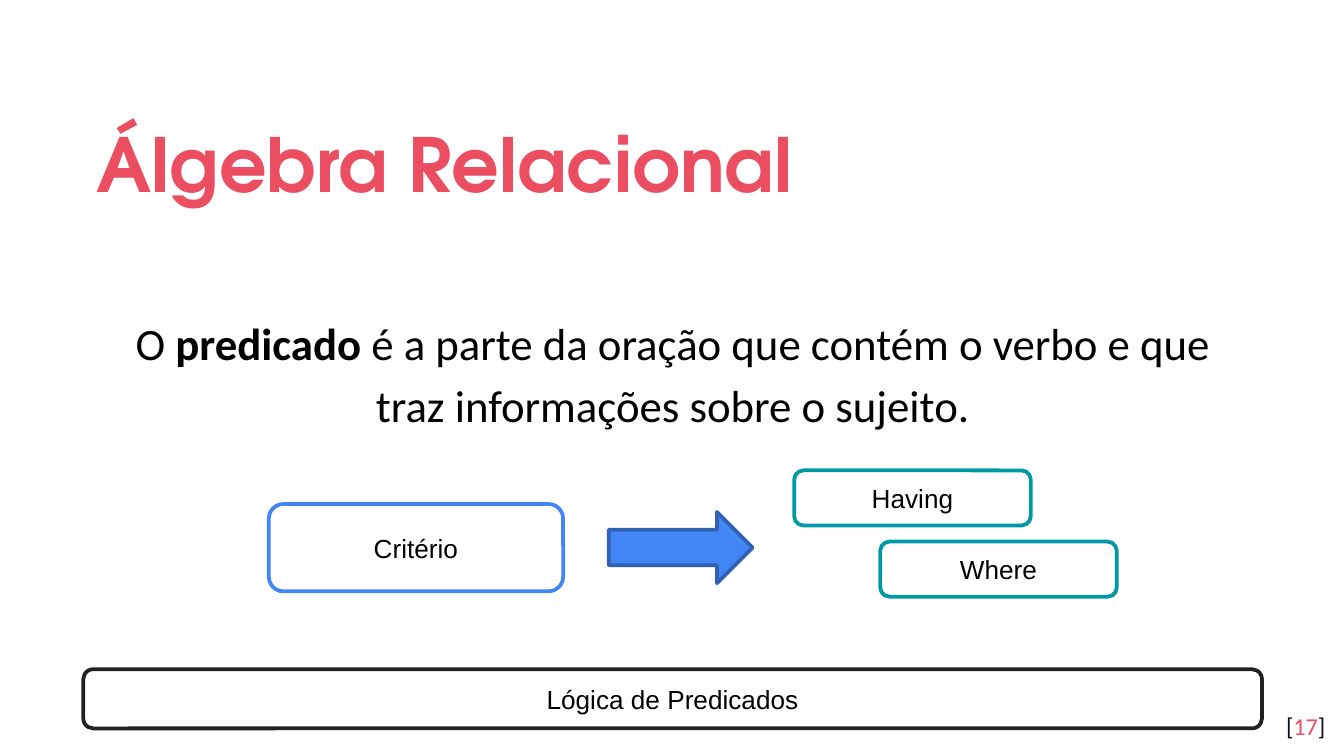
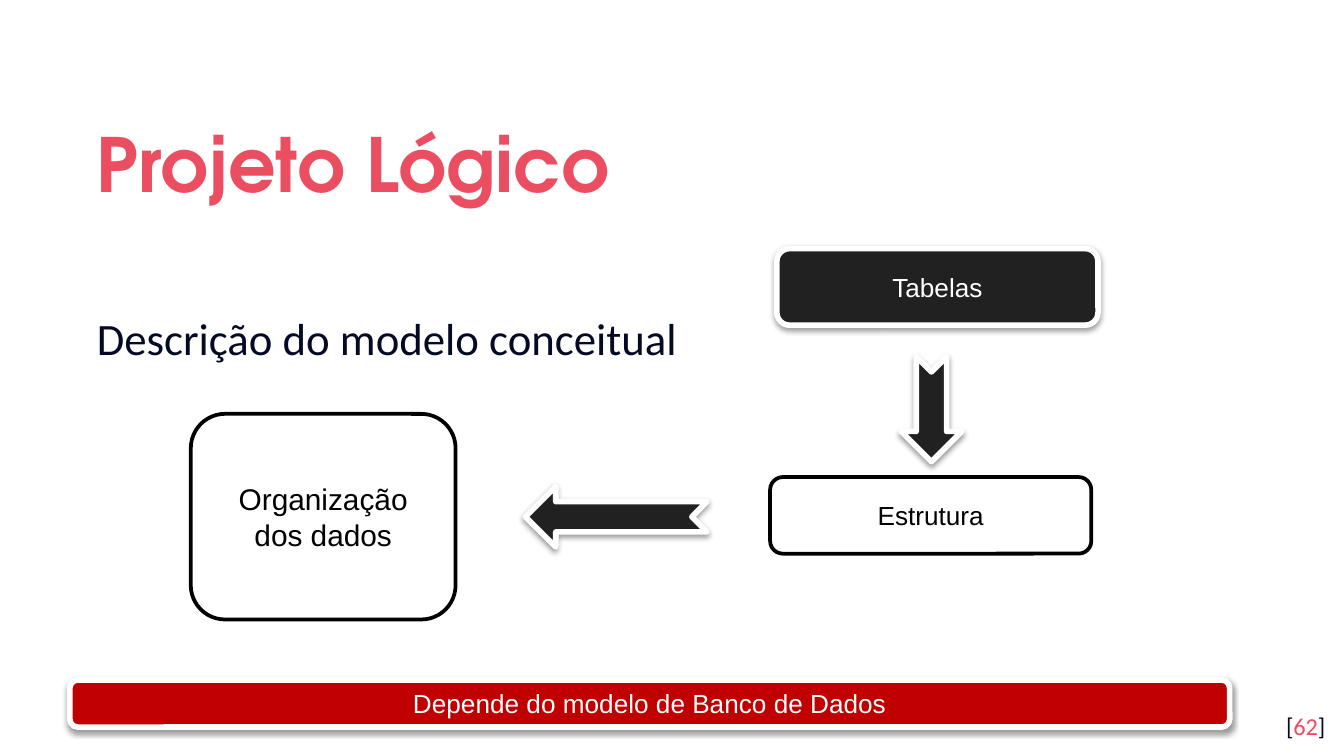
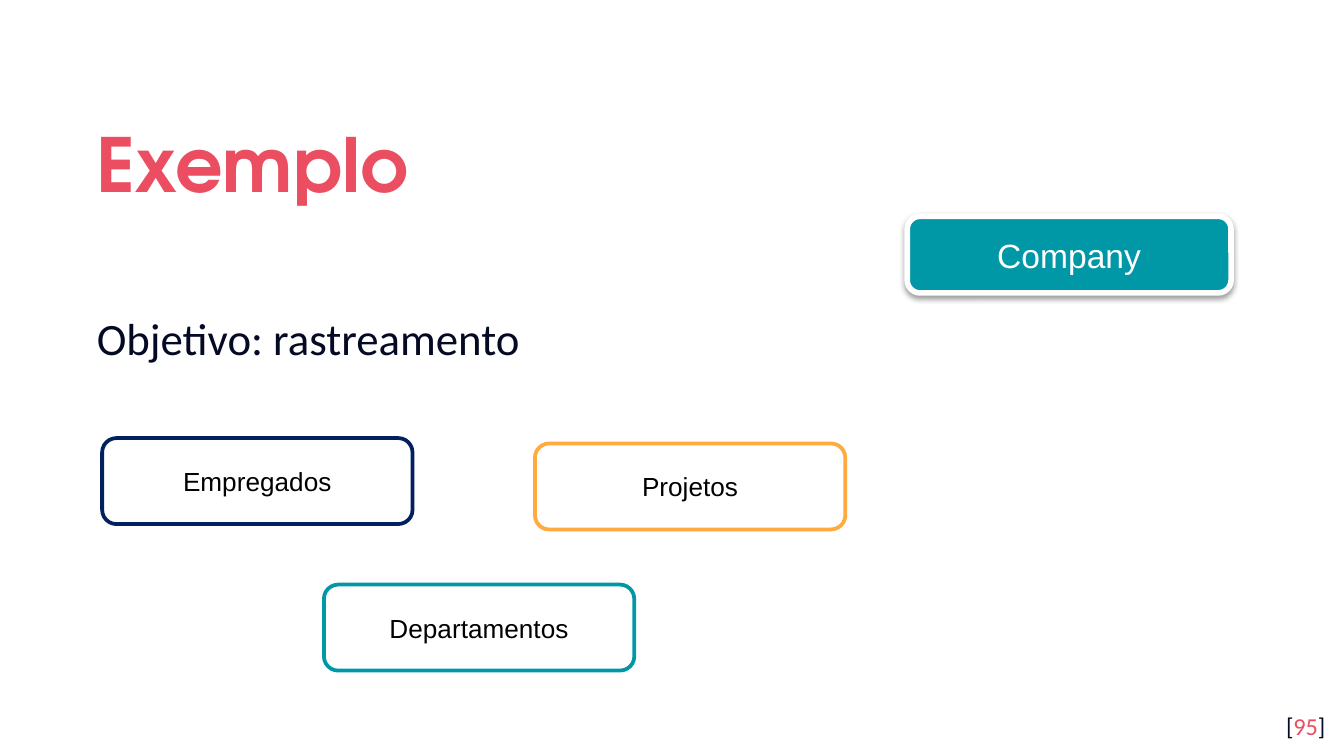
from lxml import etree
from pptx import Presentation
from pptx.dml.color import RGBColor
from pptx.enum import shapes as kinds, text as styles
from pptx.oxml import ns
from pptx.util import Inches, Pt

HUES = {
    "white": "FFFFFF", "black": "000000", "ink": "040A24", "rose": "EA4E60",
    "coal": "212121", "blue": "4285F4", "deep": "3062B4", "teal": "0097A7",
    "red": "C00000", "navy": "002060", "gold": "FFAB40",
}
BOX = kinds.MSO_SHAPE.ROUNDED_RECTANGLE
ARROW = kinds.MSO_SHAPE.RIGHT_ARROW
NOTCH = kinds.MSO_SHAPE.NOTCHED_RIGHT_ARROW
ALIGN = styles.PP_ALIGN
MIDDLE = styles.MSO_ANCHOR.MIDDLE
TOP = styles.MSO_ANCHOR.TOP

TITLE = (0.62, 0.7, 8.77, 0.92)
BODY = (0.62, 1.62, 8.77, 3.37)
FOOT = (9.36, 5.19, 0.6, 0.43)
PAD = 0.1


def frame(label, hue, spot, size=14):
    return dict(kind=BOX, label=label, fill="white", line=hue, spot=spot, size=size)


def card(label, hue, spot, size=14):
    return dict(kind=BOX, label=label, fill=hue, spot=spot, size=size, raised=True)


def notch(spot, turn):
    return dict(kind=NOTCH, fill="coal", spot=spot, turn=turn, raised=True)


SLIDES = [
    dict(
        title="Álgebra Relacional", number="17", align=ALIGN.CENTER, drop=0.67,
        body=[
            ("O ", "black", False),
            ("predicado", "black", True),
            (" é a parte da oração que contém o verbo e que traz informações"
             " sobre o sujeito.", "black", False),
        ],
        parts=[
            frame("Lógica de Predicados", "coal", (0.62, 4.98, 8.77, 0.44)),
            frame("Critério", "blue", (2, 3.75, 2.19, 0.65)),
            dict(kind=ARROW, fill="blue", line="deep", spot=(4.53, 3.81, 1.07, 0.53)),
            frame("Having", "teal", (5.91, 3.5, 1.76, 0.41)),
            frame("Where", "teal", (6.55, 4.03, 1.76, 0.41)),
        ],
    ),
    dict(
        title="Projeto Lógico", number="62", align=ALIGN.JUSTIFY, drop=0.63,
        body=[("Descrição do modelo conceitual", "ink", False)],
        parts=[
            card("Depende do modelo de Banco de Dados", "red", (0.52, 5.06, 8.63, 0.35)),
            frame("Estrutura", "black", (5.73, 3.55, 2.39, 0.57)),
            notch((3.91, 3.62, 1.35, 0.45), 180),
            frame("Organização dos dados", "black", (1.42, 3.08, 1.97, 1.53), 16),
            notch((6.54, 2.82, 0.78, 0.45), 90),
            card("Tabelas", "coal", (5.78, 1.85, 2.39, 0.57)),
        ],
    ),
    dict(
        title="Exemplo", number="95", align=ALIGN.JUSTIFY, drop=0.63,
        body=[("Objetivo: rastreamento", "ink", False)],
        parts=[
            card("Company", "teal", (6.75, 1.61, 2.41, 0.57), 18),
            frame("Empregados", "navy", (0.76, 3.26, 2.31, 0.64)),
            frame("Departamentos", "teal", (2.41, 4.35, 2.31, 0.64)),
            frame("Projetos", "gold", (3.98, 3.3, 2.31, 0.64)),
        ],
    ),
]


def tint(name):
    return RGBColor.from_string(HUES[name])


def place(shape, spot):
    shape.left, shape.top, shape.width, shape.height = map(Inches, spot)


def write(box, runs, face, size, align, anchor, space=None):
    area = box.text_frame
    area.word_wrap = True
    area.auto_size = styles.MSO_AUTO_SIZE.NONE
    area.vertical_anchor = anchor
    par = area.paragraphs[0]
    par.alignment = align
    par.space_before = Pt(0)
    if space:
        par.line_spacing = space
    for words, hue, bold in runs:
        run = par.add_run()
        run.text = words
        run.font.name, run.font.size, run.font.bold = face, Pt(size), bold
        run.font.color.rgb = tint(hue)


def inset(box, top=PAD):
    area = box.text_frame
    area.margin_left = area.margin_right = area.margin_bottom = Inches(PAD)
    area.margin_top = Inches(top)


def plain(par):
    props = par._p.get_or_add_pPr()
    props.set("marL", "0")
    props.set("indent", "0")
    etree.SubElement(props, ns.qn("a:buNone"))


def shade(shape):
    effects = shape._element.spPr.find(ns.qn("a:effectLst"))
    cast = etree.SubElement(
        effects, ns.qn("a:outerShdw"), blurRad=str(Pt(3.1)), dist=str(Pt(1.6)),
        dir="5400000", rotWithShape="0")
    hue = etree.SubElement(cast, ns.qn("a:srgbClr"), val=HUES["black"])
    etree.SubElement(hue, ns.qn("a:alpha"), val="38000")


def draw(slide, part):
    raised = part.get("raised", False)
    shape = slide.shapes.add_shape(part["kind"], *map(Inches, part["spot"]))
    shape.rotation = part.get("turn", 0)
    shape.fill.solid()
    shape.fill.fore_color.rgb = tint(part["fill"])
    shape.line.color.rgb = tint(part.get("line", "white"))
    shape.line.width = Pt(3 if raised else 2)
    shape.shadow.inherit = False
    if raised:
        shade(shape)
    if "label" in part:
        hue = "white" if raised else "black"
        write(shape, [(part["label"], hue, False)], "Arial", part["size"],
              ALIGN.CENTER, MIDDLE)


def build(deck, page):
    slide = deck.slides.add_slide(deck.slide_layouts[1])
    title, body = slide.shapes.title, slide.placeholders[1]
    place(title, TITLE)
    inset(title)
    write(title, [(page["title"], "rose", True)], "TeX Gyre Adventor", 40,
          ALIGN.LEFT, MIDDLE, 1.15)

    place(body, BODY)
    inset(body, page["drop"])
    plain(body.text_frame.paragraphs[0])
    write(body, page["body"], "Calibri", 24, page["align"], TOP, 1.15)

    foot = slide.shapes.add_textbox(*map(Inches, FOOT))
    inset(foot)
    marks = [("[", "ink", False), (page["number"], "rose", False), ("]", "ink", False)]
    write(foot, marks, "Calibri", 13, ALIGN.RIGHT, TOP)

    for part in page["parts"]:
        draw(slide, part)


def main():
    deck = Presentation()
    deck.slide_width = Inches(10)
    deck.slide_height = deck.slide_width * 9 // 16
    for page in SLIDES:
        build(deck, page)
    deck.save("out.pptx")


if __name__ == "__main__":
    main()
